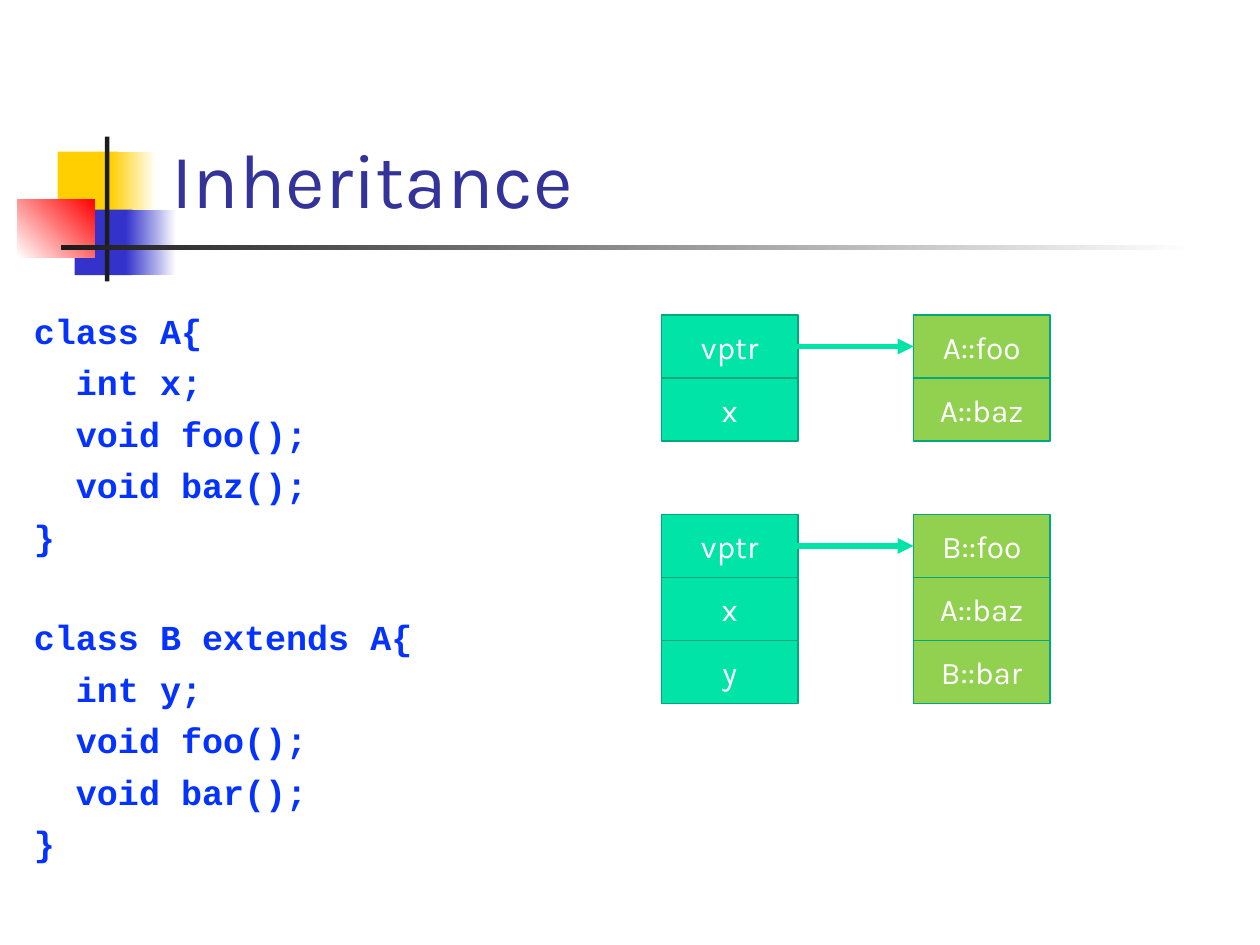
from dataclasses import dataclass

from lxml.etree import SubElement
from pptx import Presentation
from pptx.dml.color import RGBColor
from pptx.enum.shapes import MSO_CONNECTOR, MSO_SHAPE
from pptx.enum.text import MSO_ANCHOR, MSO_AUTO_SIZE, PP_ALIGN
from pptx.oxml.ns import qn
from pptx.util import Pt


@dataclass(frozen=True)
class Theme:
    title_font: str = "Karla"
    code_font: str = "Courier New"
    title_size: int = 44
    code_size: int = 20
    cell_size: int = 18
    title: str = "333399"
    code: str = "0432FF"
    white: str = "FFFFFF"
    yellow: str = "FFCF01"
    blue: str = "3333CC"
    red: str = "FF0000"
    dark: str = "1C1C1C"
    object_fill: str = "00E4A8"
    table_fill: str = "92D050"
    cell_line: str = "00A97C"


THEME = Theme()

CODE = """class A{
  int x;
  void foo();
  void baz();
}

class B extends A{
  int y;
  void foo();
  void bar();
}"""
CODE_GAP = 5.4
CODE_PITCH = 28

CELL_WIDTH, CELL_HEIGHT = 78, 36
TABLE_OFFSET = 144
ARROW_INSET = 18


def rgb(color):
    return RGBColor.from_string(color)


def place(shape, left, top, width, height):
    shape.left, shape.top = Pt(left), Pt(top)
    shape.width, shape.height = Pt(width), Pt(height)


def style(font, name, size, color, bold=False):
    font.name, font.size, font.bold = name, Pt(size), bold
    font.color.rgb = rgb(color)


def add_block(slide, left, top, width, height, colors, angle=0):
    shape = slide.shapes.add_shape(
        MSO_SHAPE.RECTANGLE, Pt(left), Pt(top), Pt(width), Pt(height))
    shape.shadow.inherit = False
    shape.line.fill.background()
    if len(colors) == 1:
        shape.fill.solid()
        shape.fill.fore_color.rgb = rgb(colors[0])
    else:
        shape.fill.gradient()
        shape.fill.gradient_angle = angle
        for stop, color in zip(shape.fill.gradient_stops, colors):
            stop.color.rgb = rgb(color)
    return shape


def add_ornament(slide, left, top):
    fade = THEME.white
    blocks = [
        (23, 8.6, 34.5, 37.5, [THEME.yellow], 0),
        (53.3, 8.6, 26, 37.5, [THEME.yellow, fade], 0),
        (32.7, 41.8, 33, 37.5, [THEME.blue], 0),
        (62, 41.8, 28.8, 37.5, [THEME.blue, fade], 0),
        (0, 35.8, 44.2, 33.3, [fade, THEME.red], 45),
        (50, 0, 2.5, 82.8, [THEME.dark], 0),
        (24.8, 62.2, 648, 2.5, [THEME.dark, fade], 0),
    ]
    for x, y, width, height, colors, angle in blocks:
        add_block(slide, left + x, top + y, width, height, colors, angle)


def add_title(slide, left, top, width, height):
    title = slide.shapes.title
    place(title, left, top, width, height)
    title.text_frame.text = "Inheritance"
    title.text_frame.vertical_anchor = MSO_ANCHOR.BOTTOM
    title.text_frame.auto_size = MSO_AUTO_SIZE.NONE
    paragraph = title.text_frame.paragraphs[0]
    paragraph.alignment = PP_ALIGN.LEFT
    style(paragraph.font, THEME.title_font, THEME.title_size, THEME.title)


def add_code(slide, left, top, width, height):
    body = slide.placeholders[1]
    place(body, left, top, width, height)
    frame = body.text_frame
    frame.auto_size = MSO_AUTO_SIZE.NONE
    frame.margin_top = Pt(9)
    classes = CODE.split("\n\n")
    frame.text = "\n".join(classes)
    class_starts = [block.split("\n")[0] for block in classes]
    for index, paragraph in enumerate(frame.paragraphs):
        properties = paragraph._p.get_or_add_pPr()
        properties.set("marL", "0")
        properties.set("indent", "0")
        SubElement(properties, qn("a:buNone"))
        gap = CODE_GAP if index else 0
        if index and paragraph.text in class_starts:
            gap += CODE_PITCH
        paragraph.space_before = Pt(gap)
        style(paragraph.font, THEME.code_font, THEME.code_size, THEME.code, True)


def add_cells(slide, left, top, labels, fill):
    for row, label in enumerate(labels):
        cell = add_block(slide, left, top + row * CELL_HEIGHT,
                         CELL_WIDTH, CELL_HEIGHT, [fill])
        cell.line.color.rgb = rgb(THEME.cell_line)
        cell.line.width = Pt(1)
        cell.text_frame.text = label
        cell.text_frame.vertical_anchor = MSO_ANCHOR.MIDDLE
        paragraph = cell.text_frame.paragraphs[0]
        paragraph.alignment = PP_ALIGN.CENTER
        style(paragraph.font, THEME.title_font, THEME.cell_size, THEME.white)


def add_object_layout(slide, left, top, fields, methods):
    add_cells(slide, left, top, fields, THEME.object_fill)
    add_cells(slide, left + TABLE_OFFSET, top, methods, THEME.table_fill)
    middle = Pt(top + CELL_HEIGHT / 2)
    arrow = slide.shapes.add_connector(
        MSO_CONNECTOR.STRAIGHT, Pt(left + CELL_WIDTH - ARROW_INSET), middle,
        Pt(left + TABLE_OFFSET), middle)
    arrow.line.color.rgb = rgb(THEME.object_fill)
    arrow.line.width = Pt(3)
    SubElement(arrow.line._get_or_add_ln(), qn("a:tailEnd"), type="triangle")
    SubElement(arrow._element.spPr, qn("a:effectLst"))


def main():
    presentation = Presentation()
    presentation.slide_width, presentation.slide_height = Pt(720), Pt(540)
    slide = presentation.slides.add_slide(presentation.slide_layouts[1])
    add_ornament(slide, 10, 78)
    add_title(slide, 90.7, 16.6, 613.4, 115.2)
    add_code(slide, 12.2, 167.8, 347.8, 324)
    add_object_layout(slide, 378, 180, ["vptr", "x"], ["A::foo", "A::baz"])
    add_object_layout(slide, 378, 294, ["vptr", "x", "y"],
                      ["B::foo", "A::baz", "B::bar"])
    presentation.save("out.pptx")


if __name__ == "__main__":
    main()
